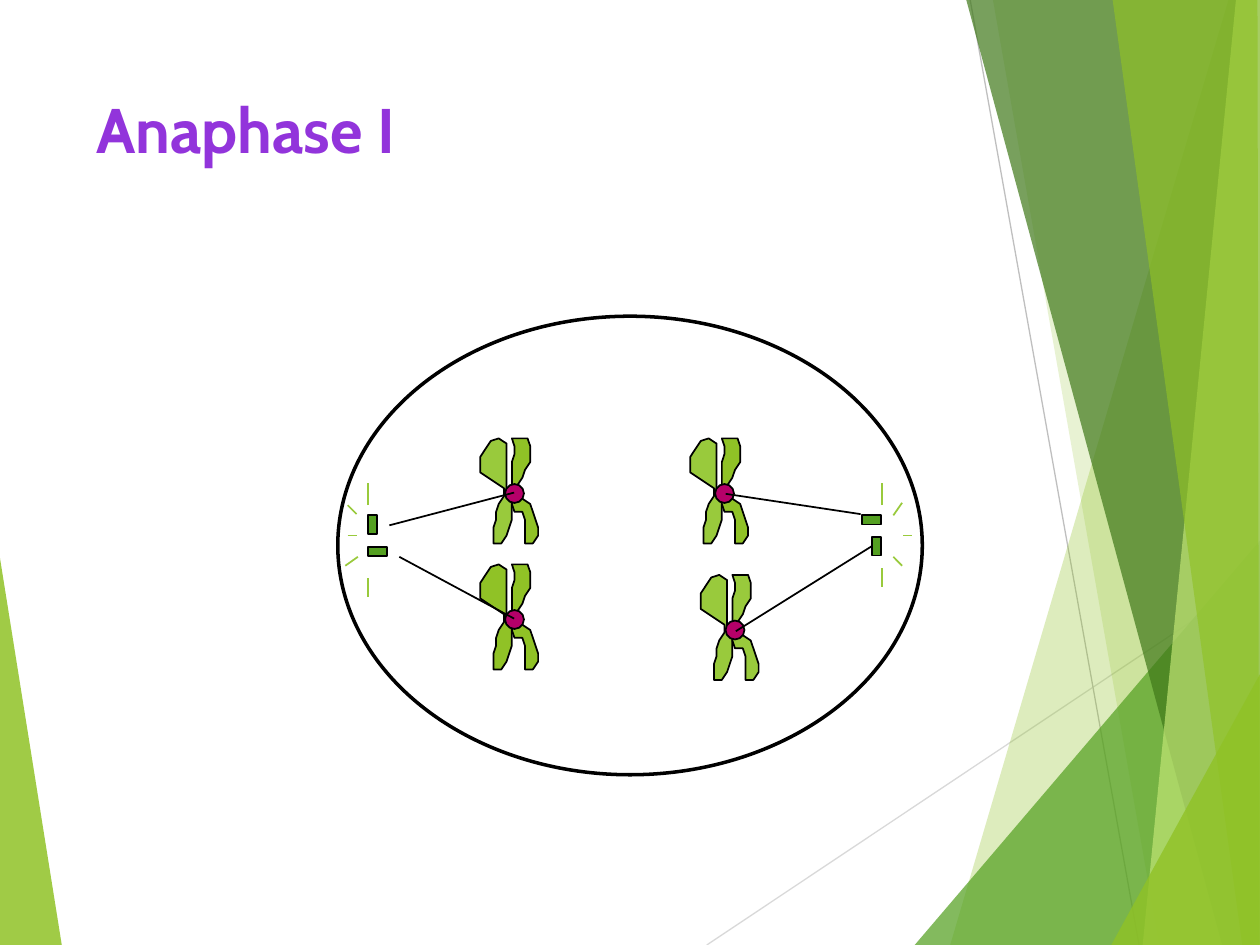
from lxml import etree
from pptx import Presentation
from pptx.dml.color import RGBColor
from pptx.enum.shapes import MSO_CONNECTOR, MSO_SHAPE
from pptx.enum.text import MSO_ANCHOR
from pptx.oxml.ns import qn
from pptx.util import Pt

STRAIGHT = MSO_CONNECTOR.STRAIGHT
OVAL, RECTANGLE = MSO_SHAPE.OVAL, MSO_SHAPE.RECTANGLE
TOP = MSO_ANCHOR.TOP
LEFT_SIDE = 1

COLORS = {
    "black": "000000", "white": "FFFFFF", "title": "9234DB",
    "lime": "90C226", "light lime": "99CA3C", "pale": "C0E474",
    "green": "54A021", "dark green": "3F7819", "centromere": "B50069",
    "light gray": "D9D9D9", "gray": "BFBFBF",
}
WIDTH, HEIGHT = 720, 540

# Decorative facets: colour, opacity in percent, corners
LEFT_FACET = ("lime", 85, [(0, 319), (35.3, 540), (0, 540)])
RIGHT_FACETS = [
    ("lime", 30, [(702, 0), (543, 540), (720, 540), (720, 0)]),
    ("lime", 20, [(567.4, 0), (662.4, 540), (720, 540), (720, 0)]),
    ("green", 72, [(522.7, 540), (720, 308.9), (720, 540)]),
    ("dark green", 70, [(552.2, 0), (698.4, 540), (720, 540), (720, 0)]),
    ("pale", 70, [(706.3, 0), (653, 540), (720, 540), (720, 0)]),
    ("lime", 65, [(635.8, 0), (709.9, 540), (719.6, 540), (718.6, 0)]),
    ("lime", 80, [(635, 540), (720, 385.2), (720, 540)]),
]

# Chromatid outlines in steps of GRID points from the centromere
GRID = 1.5
LEFT_CHROMATID = [
    (0, 0), (-3, -1), (-3, -19), (-6, -21), (-9, -20), (-11, -17), (-13, -14),
    (-13, -8), (-4, -2), (-4, 1), (-6, 4), (-7, 7), (-7, 10), (-8, 13),
    (-8, 19), (-5, 19), (-3, 16), (-2, 13), (-1, 10), (-1, 1),
]
RIGHT_CHROMATID = [
    (0, 0), (-1, -3), (-1, -12), (0, -15), (0, -18), (-1, -21), (5, -21),
    (6, -18), (6, -12), (4, -9), (3, -6), (1, -3), (0, 0), (6, 4), (7, 7),
    (8, 10), (9, 13), (9, 16), (7, 19), (4, 19), (4, 10), (3, 7), (0, 7),
    (-1, 4), (-1, 1),
]
# Centromere position, colours of the left and right chromatid
CHROMOSOMES = [
    (294, 354, "lime", "lime"),
    (414, 282, "light lime", "lime"),
    (294, 282, "light lime", "lime"),
    (420, 360, "light lime", "light lime"),
]
ASTER_RAYS = [
    ((204.5, 318.2), (197.3, 323.3)), ((198.7, 306), (203.8, 306)),
    ((198.7, 288.7), (203.8, 293.8)), ((210.2, 288.7), (210.2, 275.8)),
    ((210.2, 330.5), (210.2, 341.3)), ((504, 288.7), (504, 275.8)),
    ((510.5, 294.5), (515.5, 287.3)), ((516.2, 306), (521.3, 306)),
    ((510.5, 318.2), (515.5, 323.3)), ((504, 324.7), (504, 335.5)),
]
SPINDLE_FIBRES = [
    ((222.5, 300.2), (293.8, 281.5)),
    ((228.2, 318.2), (293.8, 353.5)),
    ((414.7, 282.2), (491.8, 293.8)),
]


class SlidePainter:
    def __init__(self, page, font_name):
        self.page = page
        self.font_name = font_name

    def color(self, name):
        return RGBColor.from_string(COLORS[name])

    def paint(self, shape, fill, line_width=None, opacity=100):
        """Fill a shape; outline it in black only when line_width is given."""
        shape.shadow.inherit = False
        shape.fill.solid()
        shape.fill.fore_color.rgb = self.color(fill)
        if opacity < 100:
            solid = shape.fill._xPr.find(qn("a:solidFill"))
            etree.SubElement(solid[0], qn("a:alpha"), val=str(opacity * 1000))
        if line_width is None:
            shape.line.fill.background()
        else:
            shape.line.color.rgb = self.color("black")
            shape.line.width = Pt(line_width)
        return shape

    def preset(self, kind, left, top, width, height, fill, line_width=1):
        shape = self.page.shapes.add_shape(
            kind, Pt(left), Pt(top), Pt(width), Pt(height))
        return self.paint(shape, fill, line_width)

    def polygon(self, corners, fill, line_width=None, opacity=100):
        start, *rest = [(Pt(x), Pt(y)) for x, y in corners]
        builder = self.page.shapes.build_freeform(*start)
        builder.add_line_segments(rest, close=True)
        return self.paint(builder.convert_to_shape(), fill, line_width, opacity)

    def line(self, start, end, color="black", width=1):
        connector = self.page.shapes.add_connector(
            STRAIGHT, *[Pt(value) for value in (*start, *end)])
        connector.line.color.rgb = self.color(color)
        connector.line.width = Pt(width)
        etree.SubElement(connector._element.spPr, qn("a:effectLst"))
        return connector

    def title(self, text, left, top, width, height):
        box = self.page.shapes.add_textbox(
            Pt(left), Pt(top), Pt(width), Pt(height))
        frame = box.text_frame
        frame.word_wrap = True
        frame.vertical_anchor = TOP
        para = frame.paragraphs[0]
        para.text = text
        para.font.name = self.font_name
        para.font.size = Pt(36)
        para.font.bold = True
        para.font.color.rgb = self.color("title")

    def facet(self, fill, opacity, corners):
        self.polygon(corners, fill, opacity=opacity)

    def chromosome(self, x, y, left_fill, right_fill):
        for outline, fill in ((LEFT_CHROMATID, left_fill),
                              (RIGHT_CHROMATID, right_fill)):
            corners = [(x + GRID * dx, y + GRID * dy) for dx, dy in outline]
            self.polygon(corners, fill, line_width=1)
        size = 10.8
        self.preset(OVAL, x - size / 2, y - size / 2, size, size, "centromere")


def main():
    deck = Presentation()
    deck.slide_width, deck.slide_height = Pt(WIDTH), Pt(HEIGHT)
    page = deck.slides.add_slide(deck.slide_layouts[6])
    painter = SlidePainter(page, "Cabin")

    painter.facet(*LEFT_FACET)
    painter.line((403.9, HEIGHT), (WIDTH, 329), "light gray", 0.75)
    painter.line((554.4, 0), (650.9, HEIGHT), "gray", 0.75)
    for facet in RIGHT_FACETS:
        painter.facet(*facet)

    painter.title("Anaphase I", 48, 48, 500, 104)

    painter.preset(OVAL, 193, 180.7, 334, 262, "white", line_width=2)
    long_side, short_side = 10.8, 5.3
    for left, top in ((492.5, 294.5), (210.2, 312.5)):
        painter.preset(RECTANGLE, left, top, long_side, short_side, "green")
    for left, top in ((210.2, 294.5), (498.2, 306.7)):
        centriole = painter.preset(
            RECTANGLE, left, top, short_side, long_side, "green")

    for chromosome in CHROMOSOMES:
        painter.chromosome(*chromosome)
    for start, end in ASTER_RAYS:
        painter.line(start, end, "light lime")
    for start, end in SPINDLE_FIBRES:
        painter.line(start, end)
    joined_fibre = painter.line((420.5, 360.7), (498.2, 312.1))
    joined_fibre.end_connect(centriole, LEFT_SIDE)

    deck.save("out.pptx")


if __name__ == "__main__":
    main()
